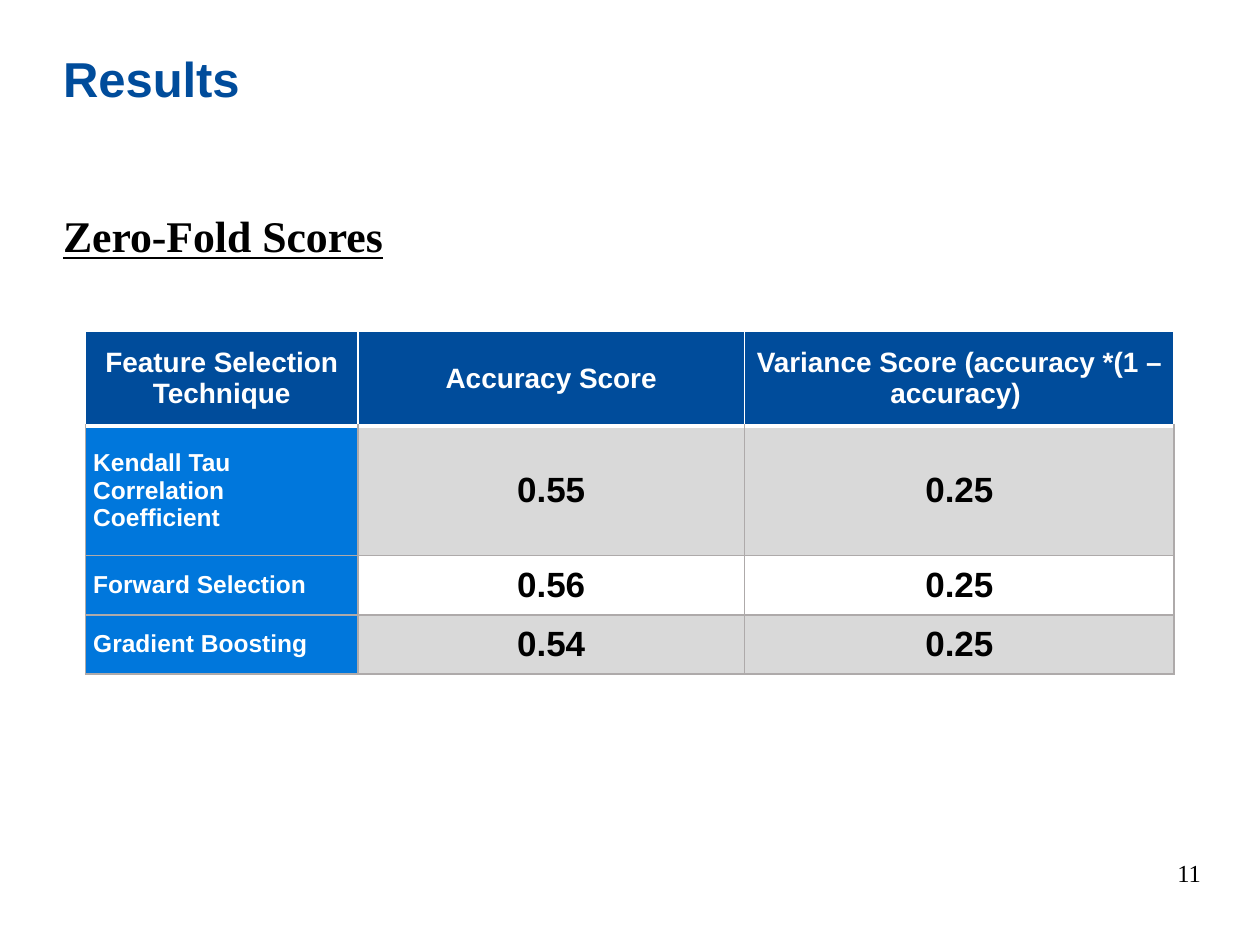
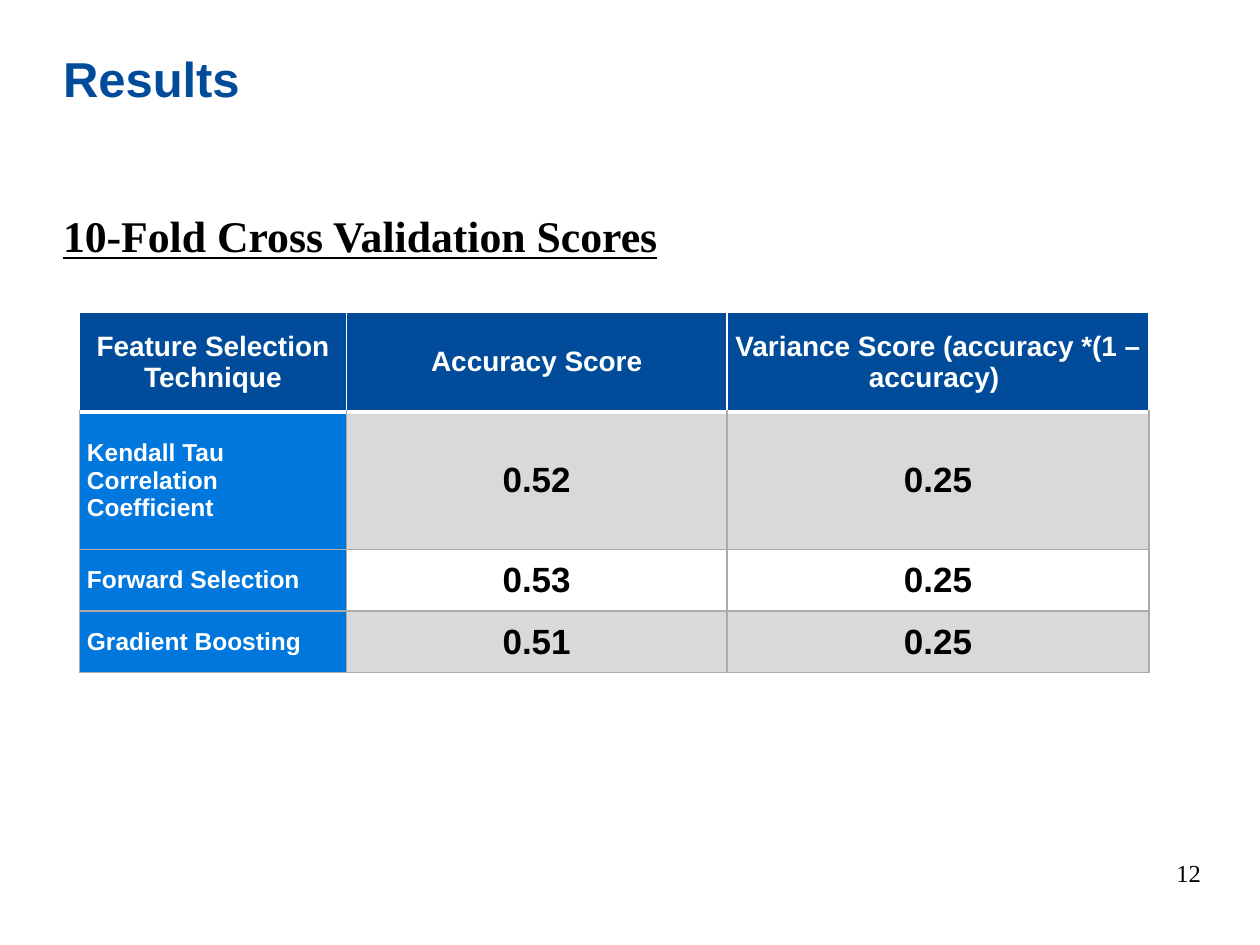
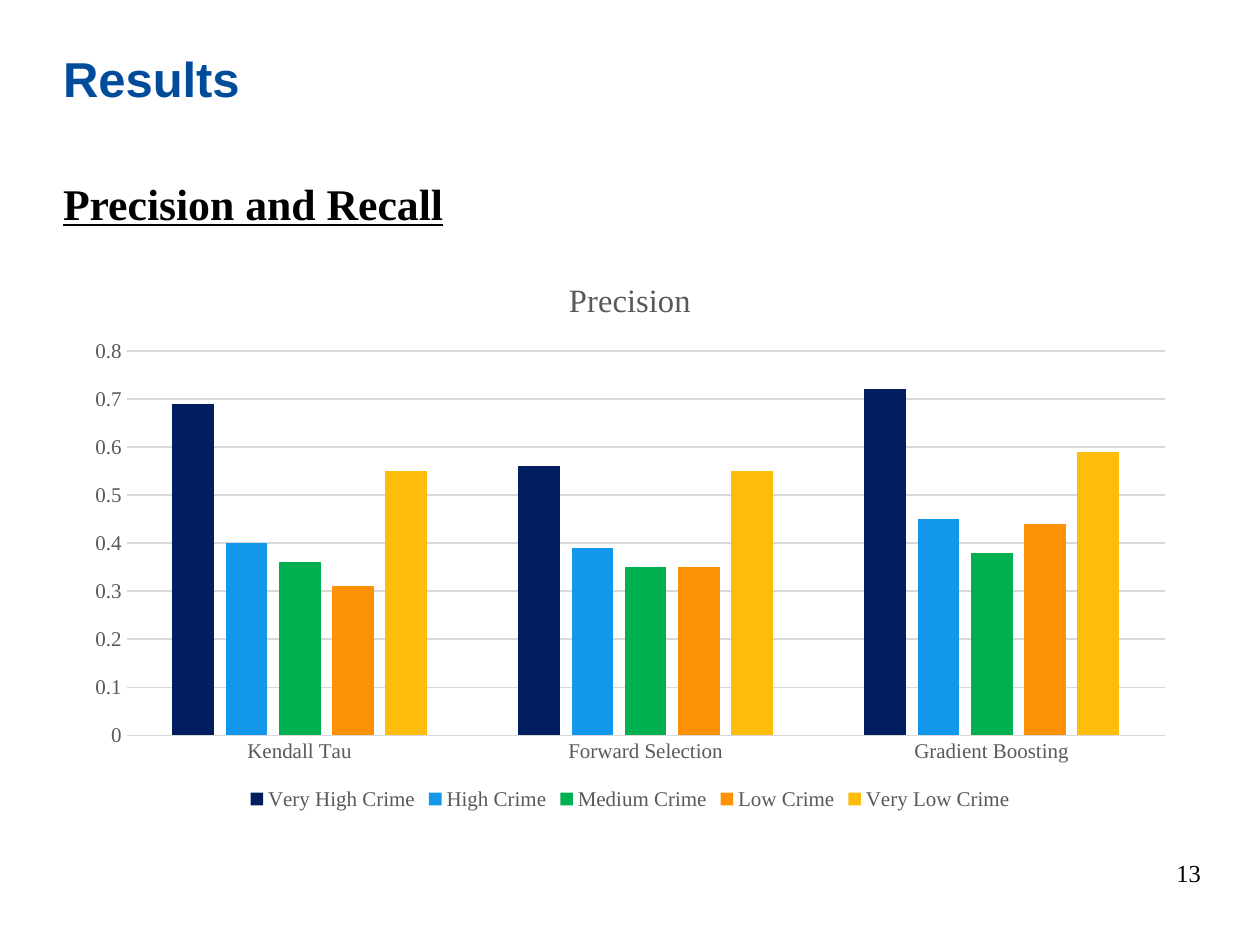
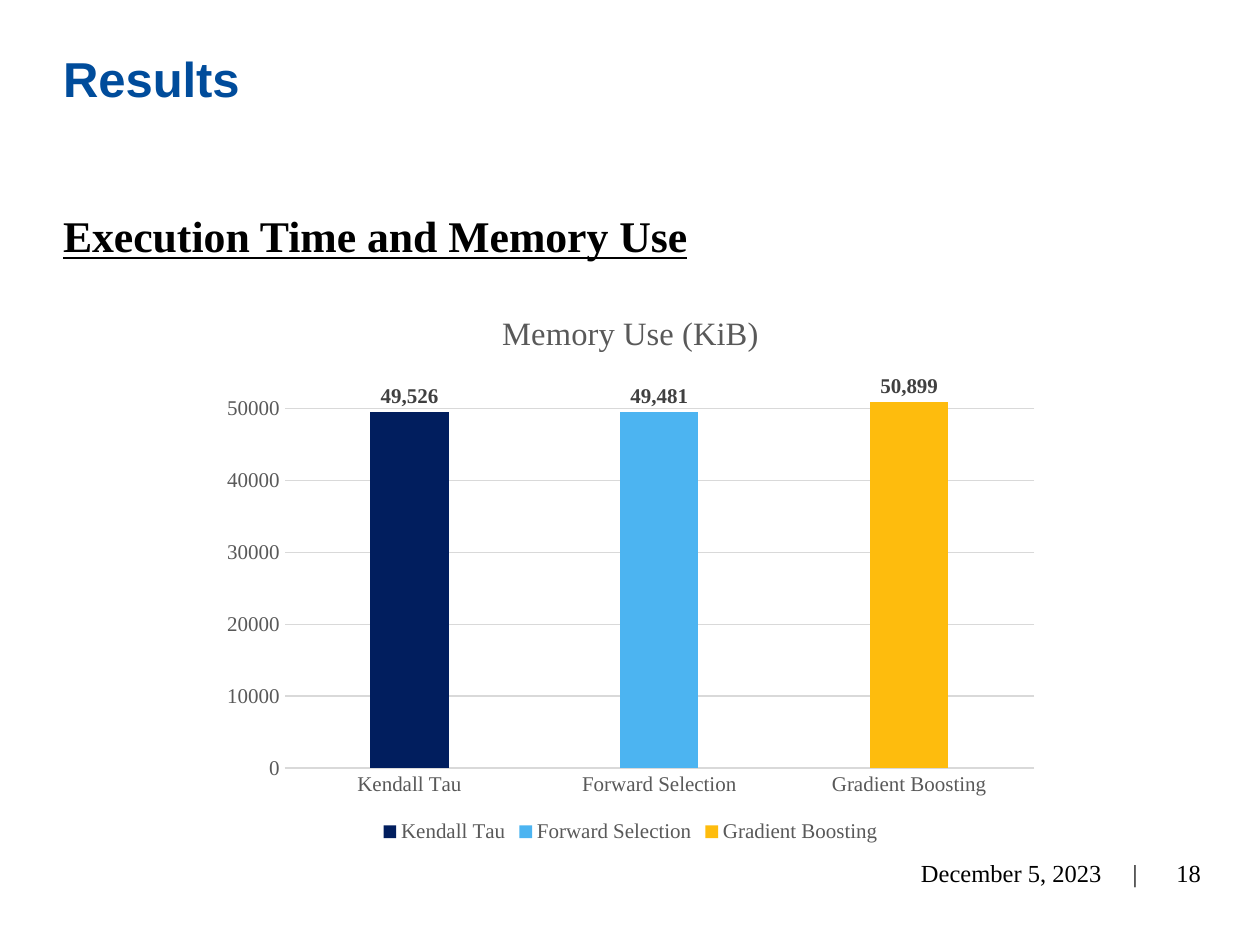
from lxml import etree
from pptx import Presentation
from pptx.chart.data import CategoryChartData
from pptx.dml.color import RGBColor
from pptx.enum import chart as ch, text as tx
from pptx.oxml import ns
from pptx.util import Inches, Pt

SERIF, SANS = "Times New Roman", "Arial"
BLACK, WHITE, BLUE, BRIGHT_BLUE = "000000", "FFFFFF", "004C9B", "0077DC"
BAND, BORDER, CHART_TEXT, GRID = "D9D9D9", "AEAAAA", "595959", "D9D9D9"
NAVY, YELLOW = "011E5E", "FEBC0D"
LEFT, CENTER, RIGHT = tx.PP_ALIGN.LEFT, tx.PP_ALIGN.CENTER, tx.PP_ALIGN.RIGHT
rgb = RGBColor.from_string


def style(font, size, color=BLACK, name=SERIF, bold=False, underline=None):
    font.size, font.name, font.bold = Pt(size), name, bold
    font.color.rgb = rgb(color)
    if underline:
        font.underline = True


def write(frame, content, align=LEFT, **font_format):
    """Fill a text frame with one formatted paragraph and return it."""
    frame.text = content
    paragraph = frame.paragraphs[0]
    paragraph.alignment = align
    style(paragraph.runs[0].font, **font_format)
    return paragraph


# Heading, top of the body, slide number
pages = [
    ("Zero-Fold Scores", 1.61, "11"),
    ("10-Fold Cross Validation Scores", 1.61, "12"),
    ("Precision and Recall", 1.35, "13"),
    ("Execution Time and Memory Use", 1.61, "18"),
]
techniques = ["Kendall Tau", "Forward Selection", "Gradient Boosting"]

prs = Presentation()
prs.slide_width, prs.slide_height = Inches(10), Inches(7.5)

# Title, heading and slide number on every slide
slides = []
for heading, body_top, number in pages:
    slide = prs.slides.add_slide(prs.slide_layouts[1])
    slides.append(slide)
    title, body = slide.shapes.title, slide.placeholders[1]
    for holder, top, height in ((title, 0.43, 1.17), (body, body_top, 4.61)):
        holder.left, holder.top = Inches(0.4), Inches(top)
        holder.width, holder.height = Inches(9.24), Inches(height)
        holder.text_frame.vertical_anchor = tx.MSO_ANCHOR.TOP
        holder.text_frame.auto_size = tx.MSO_AUTO_SIZE.NONE

    line = write(title.text_frame, "Results", size=28, color=BLUE, name=SANS, bold=True)
    line.line_spacing = Pt(26.6)

    line = write(body.text_frame, heading, size=25, bold=True, underline=True)
    properties = line._p.get_or_add_pPr()
    properties.set("marL", "0")
    properties.set("indent", "0")
    etree.SubElement(properties, ns.qn("a:buNone"))
    line.space_before = Pt(0)

    page_number = slide.shapes.add_textbox(Inches(8.89), Inches(6.73), Inches(0.74), Inches(0.4)).text_frame
    page_number.word_wrap = True
    page_number.vertical_anchor = tx.MSO_ANCHOR.MIDDLE
    write(page_number, number, RIGHT, size=14)

# Date on the last slide, with its divider on a tab stop
date = slides[3].shapes.add_textbox(Inches(6.86), Inches(6.73), Inches(2.27), Inches(0.4)).text_frame
date.word_wrap = True
date.vertical_anchor = tx.MSO_ANCHOR.MIDDLE
date.margin_left = Inches(0.45)
line = write(date, "December 5, 2023\t|", size=14)
tabs = etree.SubElement(line._p.get_or_add_pPr(), ns.qn("a:tabLst"))
etree.SubElement(tabs, ns.qn("a:tab"), pos=str(Inches(1.68)), algn="l")

# Score tables: slide, left, top, column widths, row heights, accuracies
score_tables = [
    (slides[0], 0.68, 2.63, (2.16, 3.07, 3.41), (0.75, 1.03, 0.47, 0.47), ("0.55", "0.56", "0.54")),
    (slides[1], 0.63, 2.48, (2.12, 3.02, 3.35), (0.79, 1.09, 0.49, 0.49), ("0.52", "0.53", "0.51")),
]
header = ("Feature Selection Technique", "Accuracy Score", "Variance Score (accuracy *(1 – accuracy) ")
row_names = ["Kendall Tau Correlation Coefficient"] + techniques[1:]

for slide, left, top, widths, heights, accuracies in score_tables:
    table = slide.shapes.add_table(
        4, 3, Inches(left), Inches(top), Inches(sum(widths)), Inches(sum(heights))).table
    for column, width in zip(table.columns, widths):
        column.width = Inches(width)
    for row, height in zip(table.rows, heights):
        row.height = Inches(height)

    rows = [header] + [(name, accuracy, "0.25") for name, accuracy in zip(row_names, accuracies)]
    for r, values in enumerate(rows):
        for c, value in enumerate(values):
            cell = table.cell(r, c)
            cell.vertical_anchor = tx.MSO_ANCHOR.MIDDLE
            cell.margin_left = cell.margin_right = Inches(0.06)
            cell.margin_top = cell.margin_bottom = Inches(0.06)
            if r == 0:
                fill, size, color, align = BLUE, 16, WHITE, CENTER
            elif c == 0:
                fill, size, color, align = BRIGHT_BLUE, 14, WHITE, LEFT
            else:
                fill, size, color, align = BAND if r % 2 else WHITE, 20, BLACK, CENTER
            write(cell.text_frame, value, align, size=size, color=color, name=SANS, bold=True)

            for side in "LRTB":
                under_header = (r, side) in ((0, "B"), (1, "T"))
                edge = etree.SubElement(cell._tc.get_or_add_tcPr(), ns.qn("a:ln" + side),
                                        w=str(Pt(2.25 if under_header else 1)))
                paint = etree.SubElement(edge, ns.qn("a:solidFill"))
                etree.SubElement(paint, ns.qn("a:srgbClr"),
                                 val=WHITE if r == 0 or under_header else BORDER)
            cell.fill.solid()
            cell.fill.fore_color.rgb = rgb(fill)

# Column charts: slide, title, left, top, width, axis maximum, axis step, series
precision = {
    "Very High Crime": (0.69, 0.56, 0.72),
    "High Crime": (0.4, 0.39, 0.45),
    "Medium Crime": (0.36, 0.35, 0.38),
    "Low Crime": (0.31, 0.35, 0.44),
    "Very Low Crime": (0.55, 0.55, 0.59),
}
memory = {"Series 1": (49526, 49481, 50899)}
column_charts = [
    (slides[2], "Precision", 0.58, 2.03, 8.84, 0.8, 0.1, precision),
    (slides[3], "Memory Use (KiB)", 1.67, 2.29, 6.67, 55000, 10000, memory),
]
plots = []
for slide, chart_title, left, top, width, maximum, step, series_values in column_charts:
    data = CategoryChartData()
    data.categories = techniques
    for name, values in series_values.items():
        data.add_series(name, values)
    chart = slide.shapes.add_chart(
        ch.XL_CHART_TYPE.COLUMN_CLUSTERED, Inches(left), Inches(top), Inches(width), Inches(4.44), data).chart
    style(chart.font, 10)
    chart.has_title = True
    write(chart.chart_title.text_frame, chart_title, CENTER, size=18.6, color=CHART_TEXT)
    chart.chart_title.include_in_layout = False

    chart.has_legend = True
    chart.legend.position = ch.XL_LEGEND_POSITION.BOTTOM
    chart.legend.include_in_layout = False
    style(chart.legend.font, 12, CHART_TEXT)

    for axis in (chart.category_axis, chart.value_axis):
        axis.major_tick_mark = axis.minor_tick_mark = ch.XL_TICK_MARK.NONE
        style(axis.tick_labels.font, 12, CHART_TEXT)
    scale = chart.value_axis
    scale.minimum_scale, scale.maximum_scale, scale.major_unit = 0, maximum, step
    scale.format.line.fill.background()
    for rule in (chart.category_axis.format.line, scale.major_gridlines.format.line):
        rule.color.rgb = rgb(GRID)
        rule.width = Pt(0.75)

    plot = chart.plots[0]
    plot.gap_width, plot.overlap = 219, -27
    plots.append(plot)

precision_plot, memory_plot = plots

# Precision: one colour per crime level
precision_plot.vary_by_categories = False
for level, color in zip(precision_plot.series, (NAVY, "1297EB", "00B050", "FD9208", YELLOW)):
    level.format.fill.solid()
    level.format.fill.fore_color.rgb = rgb(color)

# Memory use: one colour per technique, with values above the columns
memory_plot.vary_by_categories = True
for i, color in enumerate((NAVY, "4CB4F1", YELLOW)):
    fill = memory_plot.series[0].points[i].format.fill
    fill.solid()
    fill.fore_color.rgb = rgb(color)
labels = memory_plot.series[0].data_labels
labels.show_value = True
labels.number_format, labels.number_format_is_linked = "#,##0", False
labels.position = ch.XL_LABEL_POSITION.OUTSIDE_END
style(labels.font, 12, "404040", bold=True)

prs.save("out.pptx")
